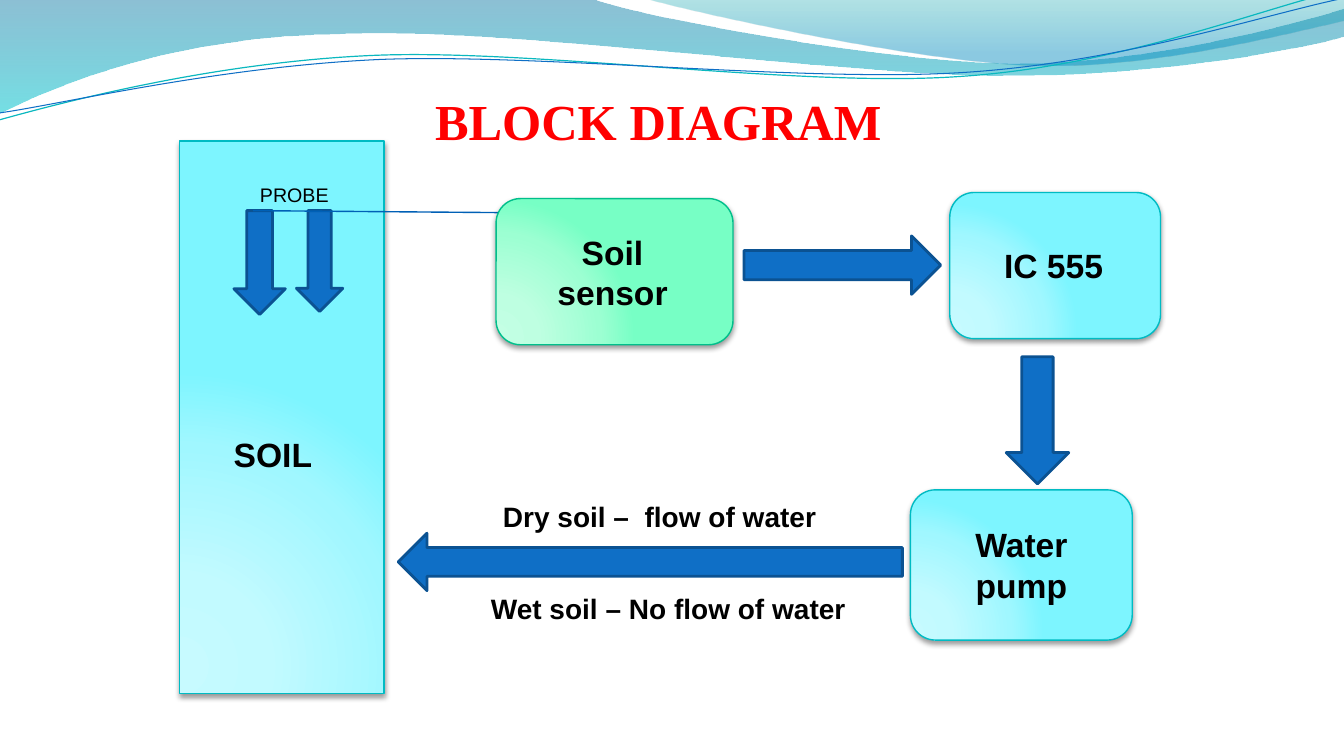
import pptx
import pptx.util
import pptx.oxml
import pptx.oxml.ns
import pptx.dml.color
import pptx.enum.shapes
import pptx.enum.text

Inches, Pt = pptx.util.Inches, pptx.util.Pt
rgb = pptx.dml.color.RGBColor.from_string
qn = pptx.oxml.ns.qn
SHAPE = pptx.enum.shapes.MSO_SHAPE
ALIGN = pptx.enum.text.PP_ALIGN
NS = 'xmlns:a="http://schemas.openxmlformats.org/drawingml/2006/main"'

LINEAR = '<a:lin ang="5400000" scaled="1"/>'
RADIAL = '<a:path path="circle"><a:fillToRect l="5000" t="100000" r="120000" b="10000"/></a:path>'
SHADOW = (f'<a:outerShdw {NS} blurRad="50800" dist="25400" dir="5400000" rotWithShape="0">'
          '<a:srgbClr val="000000"><a:alpha val="40000"/></a:srgbClr></a:outerShdw>')


def set_gradient(sp, stops, direction):
    """Fill a shape with (position %, colour, opacity %) stops."""
    gs = "".join(f'<a:gs pos="{pos * 1000}"><a:srgbClr val="{color}"><a:alpha val="{alpha * 1000}"/>'
                 '</a:srgbClr></a:gs>' for pos, color, alpha in stops)
    sp.fill.background()
    spPr = sp._element.spPr
    spPr.replace(spPr.find(qn("a:noFill")), pptx.oxml.parse_xml(
        f'<a:gradFill {NS} rotWithShape="1"><a:gsLst>{gs}</a:gsLst>{direction}</a:gradFill>'))


def set_line(sp, color, width):
    sp.line.color.rgb = rgb(color)
    sp.line.width = Pt(width)


prs = pptx.Presentation()
prs.slide_width, prs.slide_height = Inches(13.33), Inches(7.5)
slide = prs.slides.add_slide(prs.slide_layouts[5])

# Header waves: 2 numbers make a straight segment, 6 make a Bezier curve
waves = [
    ([(0, 0), (5.87, -0.01), (6.34, 0.17, 8.85, 0.63, 10.11, 0.63),
      (11.38, 0.63, 12.78, 0.26, 13.33, 0.09), (13.35, 0.36),
      (13.11, 0.44, 11.6, 0.76, 9.94, 0.75), (8.29, 0.75, 5.09, 0.28, 3.43, 0.34),
      (1.72, 0.36, 0.61, 0.83, -0.01, 1.13)],
     [(0, "0074A1", 45), (100, "00C6CF", 55)], None),
    ([(6.39, -0.01), (6.79, 0.11, 9.09, 0.62, 10.25, 0.65),
      (11.41, 0.69, 12.82, 0.32, 13.33, 0.21), (13.33, 0)],
     [(0, "00A1A9", 30), (80, "008BBF", 45)], None),
    ([(-0.01, 1.19), (0.64, 1.01, 2.11, 0.62, 3.69, 0.55),
      (5.27, 0.48, 7.9, 0.87, 9.5, 0.76), (11.1, 0.66, 12.52, 0.08, 13.31, -0.1)],
     None, ("0AB8BF", 0.85)),
    ([(0, 1.12), (0.63, 1.03, 2.18, 0.66, 3.78, 0.59),
      (5.37, 0.53, 7.96, 0.82, 9.55, 0.72), (11.15, 0.62, 12.55, 0.14, 13.34, -0.02)],
     None, ("0F6FC6", 0.75)),
]
for segments, stops, line in waves:
    corners = [(Inches(seg[-2]), Inches(seg[-1])) for seg in segments]
    builder = slide.shapes.build_freeform(*corners[0])
    builder.add_line_segments(corners[1:], close=line is None)
    sp = builder.convert_to_shape()
    # Bend the straight segments that have control points
    for straight, seg in zip(list(sp._element.iter(qn("a:lnTo"))), segments[1:]):
        if len(seg) == 6:
            pts = "".join(f'<a:pt x="{Inches(x) - sp.left}" y="{Inches(y) - sp.top}"/>'
                          for x, y in zip(seg[::2], seg[1::2]))
            straight.getparent().replace(straight, pptx.oxml.parse_xml(
                f"<a:cubicBezTo {NS}>{pts}</a:cubicBezTo>"))
    sp.shadow.inherit = False
    if line:
        sp.fill.background()
        set_line(sp, *line)
    else:
        set_gradient(sp, stops, LINEAR)
        sp.line.fill.background()

# Title
sp = slide.shapes.title
sp.left, sp.top, sp.width, sp.height = Inches(0.78), Inches(1.02), Inches(11.5), Inches(0.43)
tf = sp.text_frame
tf.auto_size = pptx.enum.text.MSO_AUTO_SIZE.NONE
tf.vertical_anchor = pptx.enum.text.MSO_ANCHOR.MIDDLE
p = tf.paragraphs[0]
p.alignment = ALIGN.CENTER
p.line_spacing = 0.9
r = p.add_run()
r.text = "BLOCK DIAGRAM"
r.font.name, r.font.size, r.font.bold = "Times New Roman", Pt(36), True
r.font.color.rgb = rgb("FF0000")

# Blocks, arrows and the probe wire, back to front
cyan = (["C7FAFF", "C2FAFF", "A0F7FF", "7DF5FF"], "00BBC3")
green = (["C4FFE4", "BEFFE1", "9CFFD2", "77FFC5"], "00BF8B")
diagram = [
    (SHAPE.RECTANGLE, 1.78, 1.4, 2.03, 5.48, cyan),
    (SHAPE.DOWN_ARROW, 2.32, 2.09, 0.51, 1.03, None),
    (SHAPE.DOWN_ARROW, 2.94, 2.09, 0.46, 1, None),
    ("wire", 2.51, 2.09, 2.54, 0.02, None),
    (SHAPE.ROUNDED_RECTANGLE, 4.92, 1.97, 2.35, 1.45, green),
    (SHAPE.RIGHT_ARROW, 7.38, 2.34, 1.95, 0.58, None),
    (SHAPE.ROUNDED_RECTANGLE, 9.42, 1.91, 2.09, 1.45, cyan),
    (SHAPE.ROUNDED_RECTANGLE, 9.03, 4.86, 2.2, 1.49, cyan),
    (SHAPE.DOWN_ARROW, 9.98, 3.54, 0.62, 1.26, None),
    (SHAPE.LEFT_ARROW, 3.95, 5.29, 5, 0.57, None),
]
for kind, x, y, w, h, palette in diagram:
    if kind == "wire":
        sp = slide.shapes.add_connector(pptx.enum.shapes.MSO_CONNECTOR.STRAIGHT,
                                        Inches(x), Inches(y), Inches(x + w), Inches(y + h))
        set_line(sp, "0060B6", 1)
        sp._element.spPr.append(pptx.oxml.parse_xml(f"<a:effectLst {NS}/>"))
        continue
    sp = slide.shapes.add_shape(kind, Inches(x), Inches(y), Inches(w), Inches(h))
    sp.shadow.inherit = False
    if palette:
        colors, outline = palette
        set_gradient(sp, [(pos, color, 100) for pos, color in zip((0, 30, 75, 100), colors)], RADIAL)
        set_line(sp, outline, 1)
        sp._element.spPr.find(qn("a:effectLst")).append(pptx.oxml.parse_xml(SHADOW))
    else:
        sp.fill.solid()
        sp.fill.fore_color.rgb = rgb("0F6FC6")
        set_line(sp, "0B5292", 2)

# Labels
labels = [
    ("Soil sensor", 5.25, 2.25, 1.65, 0.91, 24, True, ALIGN.CENTER),
    ("IC 555", 9.86, 2.38, 1.38, 0.5, 24, True, ALIGN.LEFT),
    ("Water pump", 9.29, 5.15, 1.68, 0.91, 24, True, ALIGN.CENTER),
    ("PROBE", 2.48, 1.77, 2.83, 0.34, 14, False, ALIGN.LEFT),
    ("Wet soil – No flow of water", 4.77, 5.82, 4.4, 0.44, 20, True, ALIGN.LEFT),
    ("SOIL", 2.22, 4.26, 1.14, 0.5, 24, True, ALIGN.LEFT),
    ("Dry soil –  flow of water", 4.89, 4.91, 4.4, 0.44, 20, True, ALIGN.LEFT),
]
for text, x, y, w, h, size, bold, align in labels:
    tf = slide.shapes.add_textbox(Inches(x), Inches(y), Inches(w), Inches(h)).text_frame
    tf.word_wrap = True
    tf.auto_size = pptx.enum.text.MSO_AUTO_SIZE.SHAPE_TO_FIT_TEXT
    p = tf.paragraphs[0]
    p.alignment = align
    r = p.add_run()
    r.text = text
    r.font.name, r.font.size, r.font.bold = "Arial", Pt(size), bold
    r.font.color.rgb = rgb("000000")

prs.save("out.pptx")
